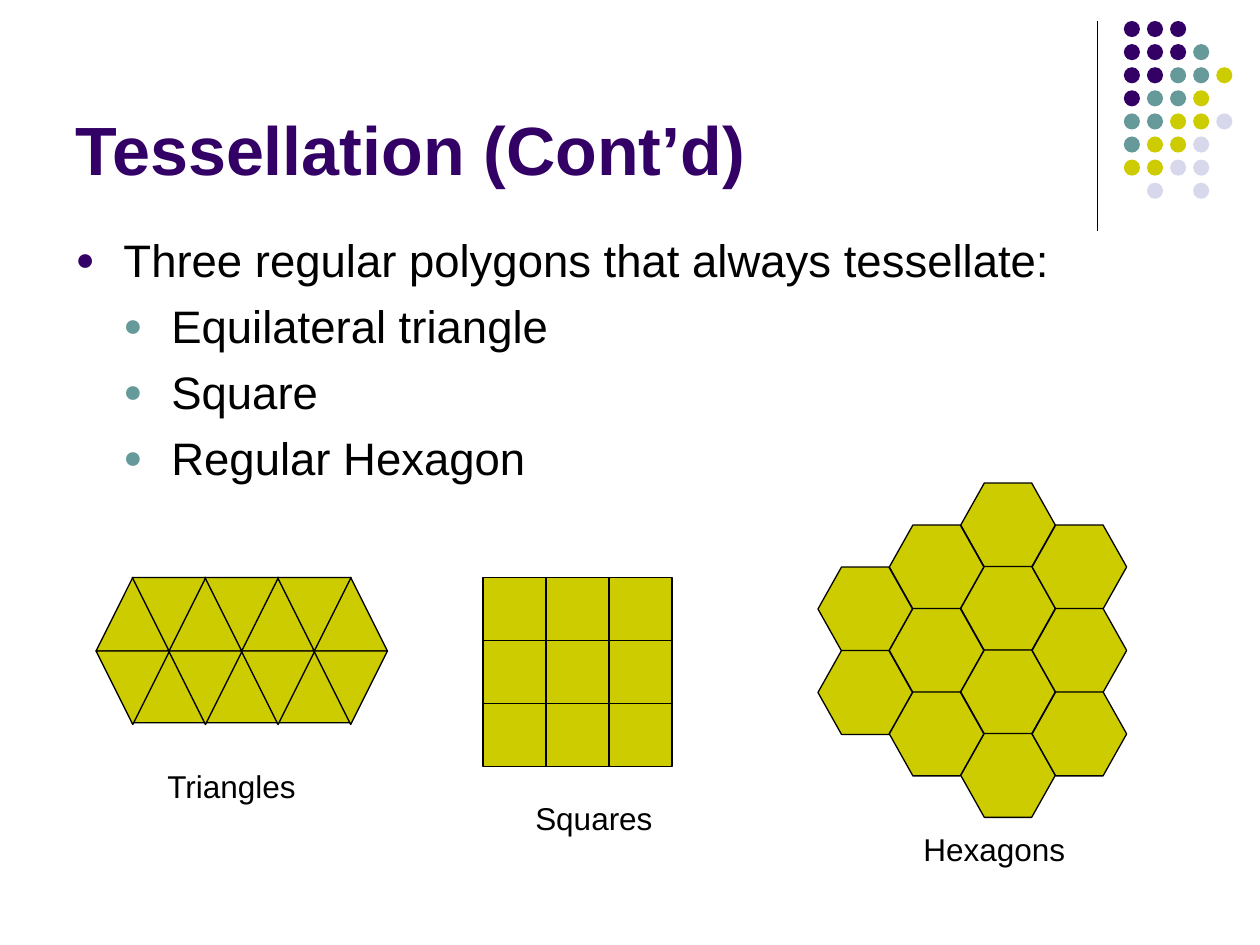
"""Build the tessellation slide with triangle, square and hexagon tilings."""
import pptx
import pptx.dml.color
import pptx.enum.shapes
import pptx.enum.text
import pptx.oxml.ns
import pptx.util
from lxml import etree

Pt = pptx.util.Pt
RGBColor = pptx.dml.color.RGBColor
Shape = pptx.enum.shapes.MSO_SHAPE
Anchor = pptx.enum.text.MSO_ANCHOR

PURPLE = RGBColor(0x33, 0x00, 0x66)
TEAL = RGBColor(0x66, 0x99, 0x99)
YELLOW = RGBColor(0xCC, 0xCC, 0x00)
LAVENDER = RGBColor(0xD8, 0xD8, 0xEC)
BLACK = RGBColor(0x00, 0x00, 0x00)

DOT_COLORS = {"P": PURPLE, "T": TEAL, "Y": YELLOW, "L": LAVENDER}
DOT_ROWS = ["PPP", "PPPT", "PPTTY", "PTTY", "TTYYL", "TYYL", "YYLL", " L L"]
BULLETS = [
    (0, "Three regular polygons that always tessellate:"),
    (1, "Equilateral triangle"),
    (1, "Square"),
    (1, "Regular Hexagon"),
]
TRIANGLE_ROWS = [(4, 54.9, 330, 0), (3, 75.2, 371, 0), (3, 75.6, 330, 180), (4, 54.9, 372, 180)]
HEXAGON_COLUMNS = [(2, 324), (3, 300), (4, 276), (3, 300)]
LABELS = [
    ("Triangles", 88.6, 434.9, 88.6),
    ("Squares", 298.8, 452.9, 81.4),
    ("Hexagons", 520.6, 470.9, 95.8),
]


class SlideBuilder:
    """Hold the style and the current slide."""

    font_name = "Arial"
    line_width = Pt(0.75)

    def __init__(self, slide):
        self.slide = slide

    def run(self, paragraph, text, size, color, bold=False):
        run = paragraph.add_run()
        run.text = text
        run.font.name = self.font_name
        run.font.size = Pt(size)
        run.font.bold = bold
        run.font.color.rgb = color

    def place(self, shape, left, top, width, height):
        shape.left, shape.top = Pt(left), Pt(top)
        shape.width, shape.height = Pt(width), Pt(height)
        shape.text_frame.auto_size = pptx.enum.text.MSO_AUTO_SIZE.NONE

    def title(self, text):
        shape = self.slide.shapes.title
        self.place(shape, 36, 9.4, 594, 102.2)
        shape.text_frame.vertical_anchor = Anchor.BOTTOM
        paragraph = shape.text_frame.paragraphs[0]
        paragraph.alignment = pptx.enum.text.PP_ALIGN.LEFT
        self.run(paragraph, text, 39, PURPLE, True)

    def bullet(self, paragraph, color):
        properties = paragraph._p.get_or_add_pPr()
        properties.set("marL", str(Pt(27.36 * (paragraph.level + 1))))
        properties.set("indent", str(-Pt(27.36)))
        qn = pptx.oxml.ns.qn
        bullet_color = etree.SubElement(properties, qn("a:buClr"))
        etree.SubElement(bullet_color, qn("a:srgbClr"), val=str(color))
        etree.SubElement(properties, qn("a:buSzPct"), val="70000")
        etree.SubElement(properties, qn("a:buFont"), typeface=self.font_name)
        etree.SubElement(properties, qn("a:buChar"), char="●")

    def body(self, items):
        shape = self.slide.placeholders[1]
        self.place(shape, 36, 126, 648, 347)
        frame = shape.text_frame
        frame.margin_top = Pt(6.6)
        for index, (level, text) in enumerate(items):
            paragraph = frame.add_paragraph() if index else frame.paragraphs[0]
            paragraph.level = level
            self.bullet(paragraph, TEAL if level else PURPLE)
            paragraph.space_before = Pt(6.6 if index else 0)
            self.run(paragraph, text, 26, BLACK)

    def label(self, text, left, top, width):
        shape = self.slide.shapes.add_textbox(Pt(left), Pt(top), Pt(width), Pt(28.8))
        shape.text_frame.word_wrap = False
        shape.text_frame.auto_size = pptx.enum.text.MSO_AUTO_SIZE.SHAPE_TO_FIT_TEXT
        self.run(shape.text_frame.paragraphs[0], text, 18, BLACK)

    def divider(self, x, top, bottom):
        connector = self.slide.shapes.add_connector(
            pptx.enum.shapes.MSO_CONNECTOR.STRAIGHT, Pt(x), Pt(top), Pt(x), Pt(bottom))
        connector.line.color.rgb = BLACK
        connector.line.width = self.line_width
        etree.SubElement(connector._element.spPr, pptx.oxml.ns.qn("a:effectLst"))

    def tile(self, kind, left, top, width, height, rotation=0):
        shape = self.slide.shapes.add_shape(kind, Pt(left), Pt(top), Pt(width), Pt(height))
        shape.shadow.inherit = False
        shape.rotation = rotation
        shape.fill.solid()
        shape.fill.fore_color.rgb = YELLOW
        shape.line.color.rgb = BLACK
        shape.line.width = self.line_width
        return shape

    def dots(self, left, top, pitch, size):
        group = self.slide.shapes.add_group_shape()
        for row, letters in enumerate(DOT_ROWS):
            for column, letter in enumerate(letters):
                if letter in DOT_COLORS:
                    dot = group.shapes.add_shape(
                        Shape.OVAL, Pt(left + column * pitch), Pt(top + row * pitch),
                        Pt(size), Pt(size))
                    dot.shadow.inherit = False
                    dot.fill.solid()
                    dot.fill.fore_color.rgb = DOT_COLORS[letter]
                    dot.line.fill.background()

    def triangles(self):
        for count, left, top, rotation in TRIANGLE_ROWS:
            for column in range(count):
                self.tile(Shape.ISOSCELES_TRIANGLE, left + 41.5 * column, top, 42, 42, rotation)

    def squares(self):
        for row in range(3):
            for column in range(3):
                self.tile(Shape.RECTANGLE, 276 + 36 * column, 330 + 36 * row, 36, 36)

    def hexagons(self):
        for column, (count, top) in enumerate(HEXAGON_COLUMNS):
            for row in range(count):
                hexagon = self.tile(
                    Shape.HEXAGON, 467.4 + 40.8 * column, top + 47.7 * row, 54, 48)
                hexagon.adjustments[0] = 0.281


def main():
    presentation = pptx.Presentation()
    presentation.slide_width, presentation.slide_height = Pt(720), Pt(540)
    builder = SlideBuilder(presentation.slides.add_slide(presentation.slide_layouts[1]))
    builder.divider(627, 12, 132)
    builder.dots(642.2, 12, 13.2, 9.2)
    builder.title("Tessellation (Cont’d)")
    builder.body(BULLETS)
    builder.triangles()
    builder.squares()
    builder.hexagons()
    for label in LABELS:
        builder.label(*label)
    presentation.save("out.pptx")


if __name__ == "__main__":
    main()
